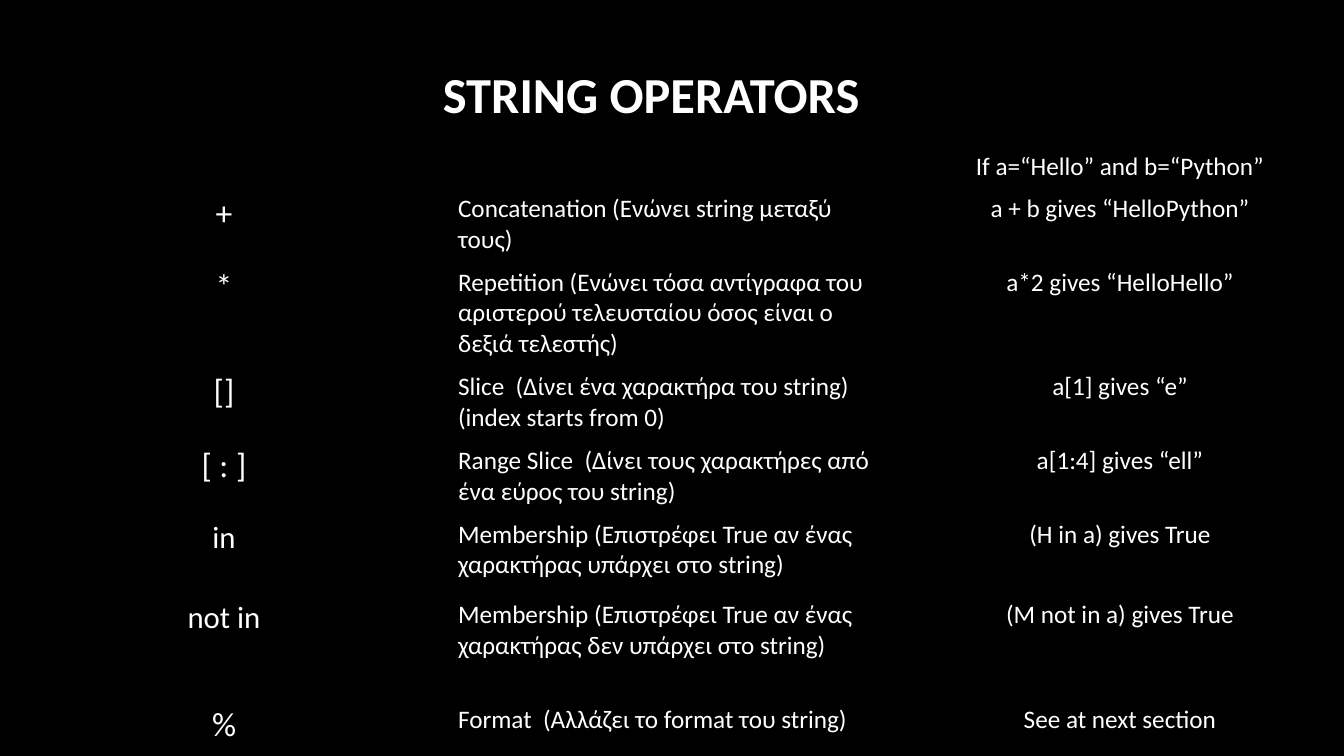
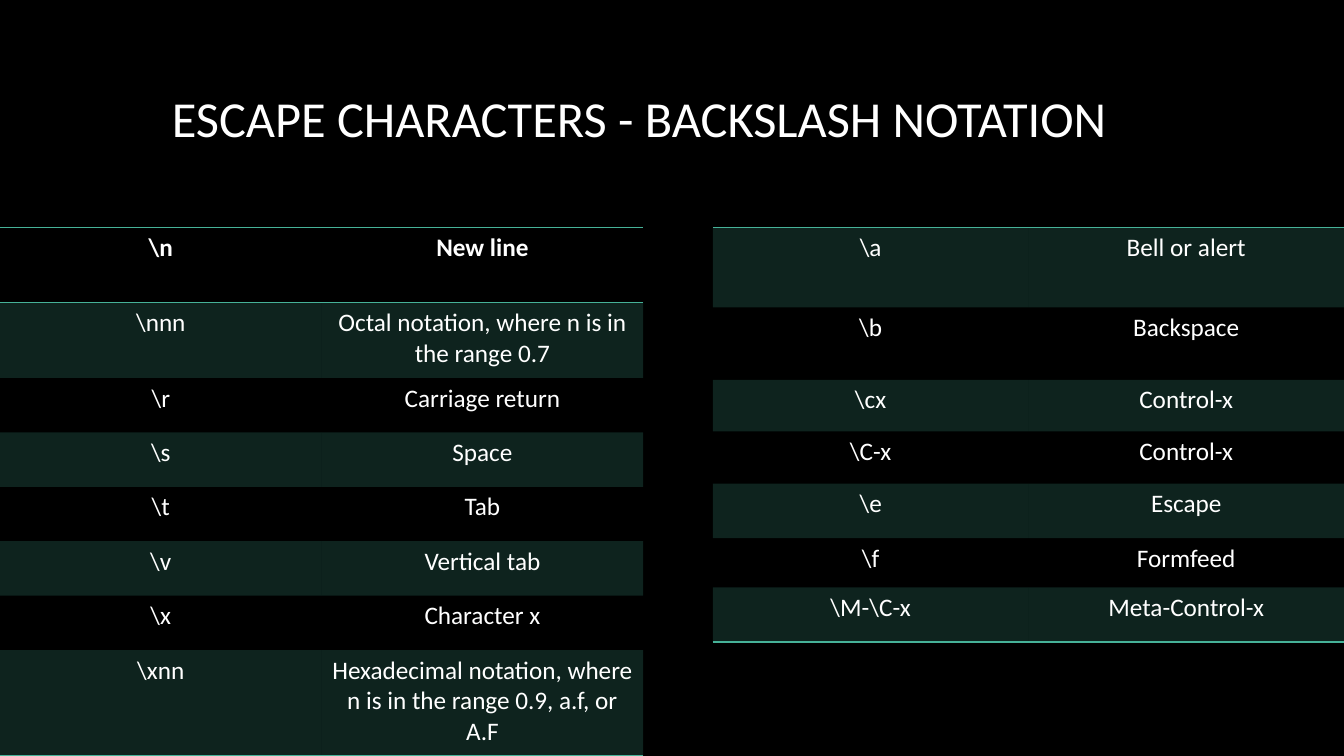
import dataclasses

import lxml.etree
import pptx
import pptx.dml.color
import pptx.enum.text
import pptx.oxml.ns
import pptx.util

Inches = pptx.util.Inches
ALIGN = pptx.enum.text.PP_ALIGN
ANCHOR = pptx.enum.text.MSO_ANCHOR


@dataclasses.dataclass(frozen=True)
class Theme:
    font: str = "Calibri"
    background: str = "000000"
    text: str = "FFFFFF"
    accent: str = "46B298"
    band_opacity: int = 20
    rule_width: float = 1
    title_size: int = 36
    symbol_size: int = 24
    word_size: int = 22
    body_size: int = 18
    plain_table_style: str = "{2D5ABB26-0587-4C30-8999-92F81FD0307C}"


THEME = Theme()
SLIDE_WIDTH, SLIDE_HEIGHT = 13.33, 7.5

# Row height, operator, operator size, description, example
OPERATORS = [
    (0.42, "", THEME.body_size, "", "If a=“Hello” and b=“Python”"),
    (0.73, "+", THEME.symbol_size,
     "Concatenation (Ενώνει string μεταξύ τους)", "a + b gives “HelloPython”"),
    (1.04, "*", THEME.symbol_size,
     "Repetition (Ενώνει τόσα αντίγραφα του αριστερού τελευσταίου όσος είναι ο δεξιά τελεστής)",
     "a*2 gives “HelloHello”"),
    (0.73, "[]", THEME.symbol_size,
     "Slice  (Δίνει ένα χαρακτήρα του string) (index starts from 0)", "a[1] gives “e”"),
    (0.73, "[ : ]", THEME.symbol_size,
     "Range Slice  (Δίνει τους χαρακτήρες από\nένα εύρος του string)", "a[1:4] gives “ell”"),
    (0.8, "in", THEME.word_size,
     "Membership (Επιστρέφει True αν ένας χαρακτήρας υπάρχει στο string)",
     "(H in a) gives True"),
    (1.04, "not in", THEME.word_size,
     "Membership (Επιστρέφει True αν ένας χαρακτήρας δεν υπάρχει στο string)",
     "(M not in a) gives True"),
    (0.57, "%", THEME.symbol_size,
     "Format  (Aλλάζει το format του string)", "See at next section"),
]

# Row height, notation, meaning
LEFT_ESCAPES = [
    (0.74, r"\n", "New line"),
    (0.75, r"\nnn", "Octal notation, where n is in the range 0.7"),
    (0.54, r"\r", "Carriage return"),
    (0.54, r"\s", "Space"),
    (0.54, r"\t", "Tab"),
    (0.54, r"\v", "Vertical tab"),
    (0.54, r"\x", "Character x"),
    (1.05, r"\xnn", "Hexadecimal notation, where n is in the range 0.9, a.f, or A.F"),
]
RIGHT_ESCAPES = [
    (0.79, r"\a", "Bell or alert"),
    (0.72, r"\b", "Backspace"),
    (0.51, r"\cx", "Control-x"),
    (0.52, r"\C-x", "Control-x"),
    (0.54, r"\e", "Escape"),
    (0.49, r"\f", "Formfeed"),
    (0.54, r"\M-\C-x", "Meta-Control-x"),
]


def rgb(code):
    return pptx.dml.color.RGBColor.from_string(code)


def add_child(parent, tag, **attributes):
    child = lxml.etree.SubElement(parent, pptx.oxml.ns.qn(tag))
    for name, value in attributes.items():
        child.set(name, str(value))
    return child


def write_text(text_frame, text, size, bold=False, alignment=ALIGN.CENTER):
    """Write one paragraph for each line of text."""
    for index, line in enumerate(text.split("\n")):
        paragraph = text_frame.add_paragraph() if index else text_frame.paragraphs[0]
        paragraph.alignment = alignment
        if not line:
            paragraph.font.size = pptx.util.Pt(size)
            continue
        run = paragraph.add_run()
        run.text = line
        run.font.name = THEME.font
        run.font.size = pptx.util.Pt(size)
        run.font.bold = bold
        run.font.color.rgb = rgb(THEME.text)


def add_title(slide, text, left, top, height, bold=False, anchor=ANCHOR.MIDDLE):
    box = slide.shapes.add_textbox(Inches(left), Inches(top), Inches(11.08), Inches(height))
    text_frame = box.text_frame
    text_frame.word_wrap = True
    text_frame.margin_top = text_frame.margin_bottom = 0
    text_frame.vertical_anchor = anchor
    write_text(text_frame, text, THEME.title_size, bold)


def add_plain_table(slide, left, top, width, column_count, row_heights):
    """Add a table without style, with equal columns and unfilled cells."""
    frame = slide.shapes.add_table(
        len(row_heights), column_count, Inches(left), Inches(top),
        Inches(width), Inches(sum(row_heights)))
    table = frame.table
    table.first_row = table.horz_banding = False
    style = frame._element.find(".//" + pptx.oxml.ns.qn("a:tableStyleId"))
    style.text = THEME.plain_table_style
    for column in table.columns:
        column.width = Inches(width / column_count)
    for row, height in zip(table.rows, row_heights):
        row.height = Inches(height)
    for cell in table.iter_cells():
        cell.fill.background()
    return table


def fill_band(cell):
    cell.fill.solid()
    cell.fill.fore_color.rgb = rgb(THEME.accent)
    color = cell._tc.tcPr.find(".//" + pptx.oxml.ns.qn("a:srgbClr"))
    add_child(color, "a:alpha", val=THEME.band_opacity * 1000)


def add_rules(cell, tags):
    """Draw the borders named by tags, which must come before the cell's fill."""
    properties = cell._tc.get_or_add_tcPr()
    for index, tag in enumerate(tags):
        line = add_child(properties, tag, w=pptx.util.Pt(THEME.rule_width))
        add_child(add_child(line, "a:solidFill"), "a:srgbClr", val=THEME.accent)
        properties.insert(index, line)


def add_operator_table(slide):
    table = add_plain_table(slide, 0, 1.45, SLIDE_WIDTH, 3, [row[0] for row in OPERATORS])
    for index, (_, operator, size, description, example) in enumerate(OPERATORS):
        cells = table.rows[index].cells
        write_text(cells[0].text_frame, operator, size)
        write_text(cells[1].text_frame, description, THEME.body_size, alignment=ALIGN.LEFT)
        write_text(cells[2].text_frame, example, THEME.body_size)


def add_escape_table(slide, left, width, escapes, has_header=False):
    """Band every other row, starting below the header if there is one."""
    table = add_plain_table(slide, left, 2.26, width, 2, [row[0] for row in escapes])
    last = len(escapes) - 1
    for index, (_, *texts) in enumerate(escapes):
        is_header = has_header and index == 0
        rules = ["a:lnT"] if index == 0 else []
        if is_header or index == last:
            rules.append("a:lnB")
        for cell, text in zip(table.rows[index].cells, texts):
            write_text(cell.text_frame, text, THEME.body_size, bold=is_header)
            if index % 2 == int(has_header):
                fill_band(cell)
            add_rules(cell, rules)


def add_blank_slide(presentation):
    return presentation.slides.add_slide(presentation.slide_layouts[6])


def build_operators_slide(presentation):
    slide = add_blank_slide(presentation)
    add_title(slide, "STRING OPERATORS", 0.92, 0.63, 1.63, bold=True, anchor=ANCHOR.TOP)
    add_operator_table(slide)


def build_escapes_slide(presentation):
    slide = add_blank_slide(presentation)
    add_title(slide, "ESCAPE CHARACTERS - BACKSLASH NOTATION", 0.8, 0.45, 1.43)
    add_escape_table(slide, 7.07, 6.26, RIGHT_ESCAPES)
    add_escape_table(slide, 0, 6.38, LEFT_ESCAPES, has_header=True)


def main():
    presentation = pptx.Presentation()
    presentation.slide_width = Inches(SLIDE_WIDTH)
    presentation.slide_height = Inches(SLIDE_HEIGHT)
    background = presentation.slide_master.background.fill
    background.solid()
    background.fore_color.rgb = rgb(THEME.background)
    build_operators_slide(presentation)
    build_escapes_slide(presentation)
    presentation.save("out.pptx")


if __name__ == "__main__":
    main()
